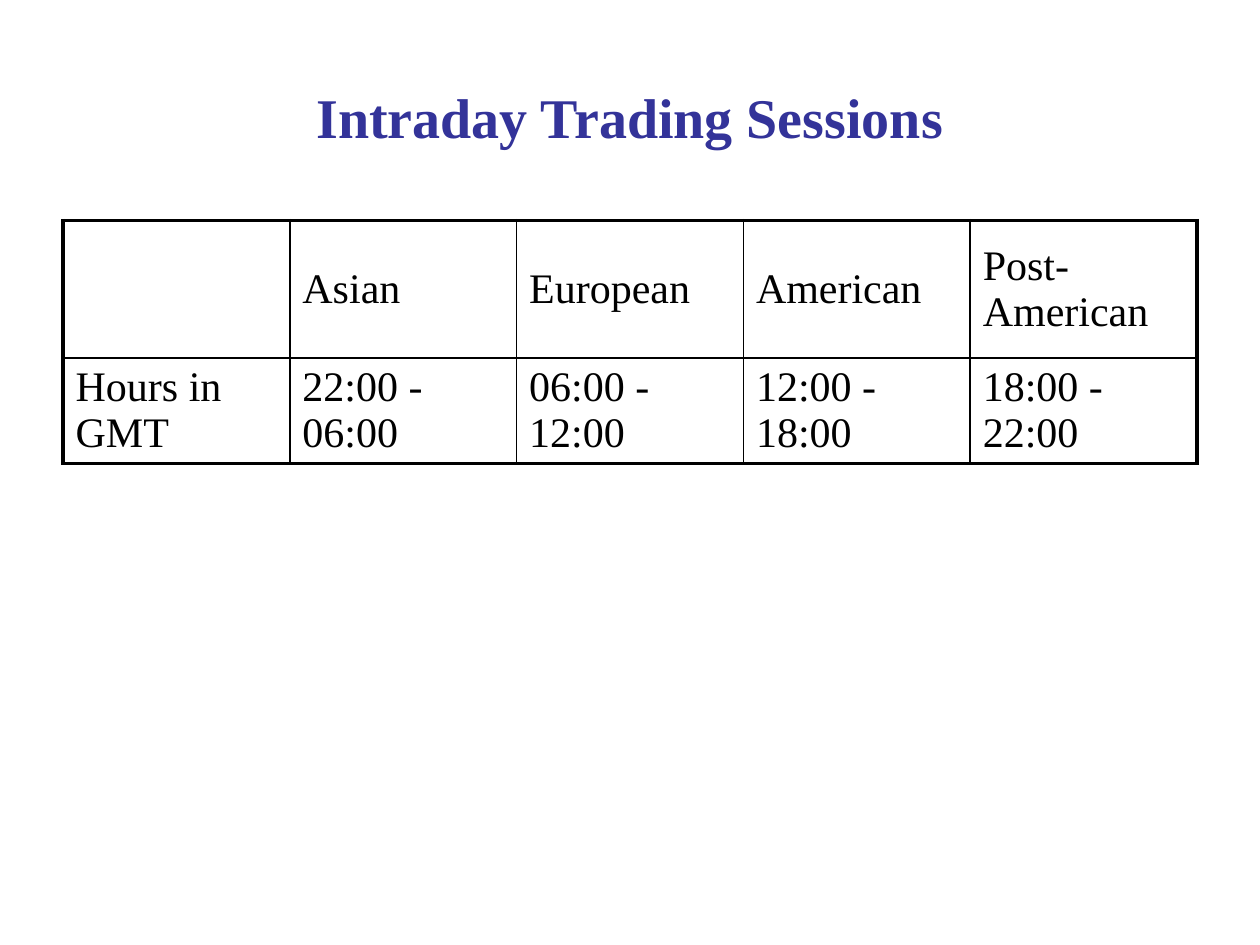
from lxml import etree
from pptx import Presentation
from pptx.dml.color import RGBColor
from pptx.enum.text import MSO_ANCHOR, PP_ALIGN
from pptx.oxml.ns import qn
from pptx.util import Inches, Pt

MIDDLE = MSO_ANCHOR.MIDDLE
CENTER = PP_ALIGN.CENTER
BLUE = RGBColor(0x33, 0x33, 0x99)
BLACK = RGBColor(0, 0, 0)
FACE = "Times New Roman"
THICK, THIN = Pt(2.25), Pt(1)

HEAD = {"name": FACE, "size": Pt(32), "bold": True}
BODY = {"name": FACE, "size": Pt(24), "bold": False}

ROWS = [
    ["", "Asian", "European", "American", "Post-American"],
    ["Hours in GMT", "22:00 - 06:00", "06:00 - 12:00",
     "12:00 - 18:00", "18:00 - 22:00"],
]
HEIGHTS = [1.09, 0.83]


def style(font, look, color):
    for key, value in look.items():
        setattr(font, key, value)
    font.color.rgb = color


def add_title(slide, left, top, width, height):
    title = slide.shapes.title
    title.left, title.top = Inches(left), Inches(top)
    title.width, title.height = Inches(width), Inches(height)
    frame = title.text_frame
    frame.text = "Intraday Trading Sessions"
    frame.vertical_anchor = MIDDLE
    para = frame.paragraphs[0]
    para.alignment = CENTER
    style(para.runs[0].font, HEAD, BLUE)


def add_edge(cell, side, width):
    props = cell._tc.get_or_add_tcPr()
    line = etree.SubElement(props, qn(f"a:ln{side}"), w=str(width))
    fill = etree.SubElement(line, qn("a:solidFill"))
    etree.SubElement(fill, qn("a:srgbClr"), val=str(BLACK))


def add_hours(slide, left, top, width):
    count, span = len(ROWS), len(ROWS[0])
    table = slide.shapes.add_table(
        count, span, Inches(left), Inches(top),
        Inches(width), Inches(sum(HEIGHTS))).table
    table.first_row = table.horz_banding = False
    for col in table.columns:
        col.width = Inches(width / span)
    for r, (texts, height) in enumerate(zip(ROWS, HEIGHTS)):
        table.rows[r].height = Inches(height)
        for c, text in enumerate(texts):
            cell = table.cell(r, c)
            cell.vertical_anchor = MIDDLE
            # Thick lines on the outer frame only
            outer = {"L": c == 0, "R": c == span - 1,
                     "T": r == 0, "B": r == count - 1}
            for side, edge in outer.items():
                add_edge(cell, side, THICK if edge else THIN)
            cell.fill.background()
            cell.text = text
            style(cell.text_frame.paragraphs[0].font, BODY, BLACK)
            for run in cell.text_frame.paragraphs[0].runs:
                style(run.font, BODY, BLACK)


def main():
    deck = Presentation()
    deck.slide_width, deck.slide_height = Inches(10), Inches(7.5)
    slide = deck.slides.add_slide(deck.slide_layouts[5])
    add_title(slide, 0.5, 0.3, 9, 1.25)
    add_hours(slide, 0.5, 1.75, 9)
    deck.save("out.pptx")


if __name__ == "__main__":
    main()
